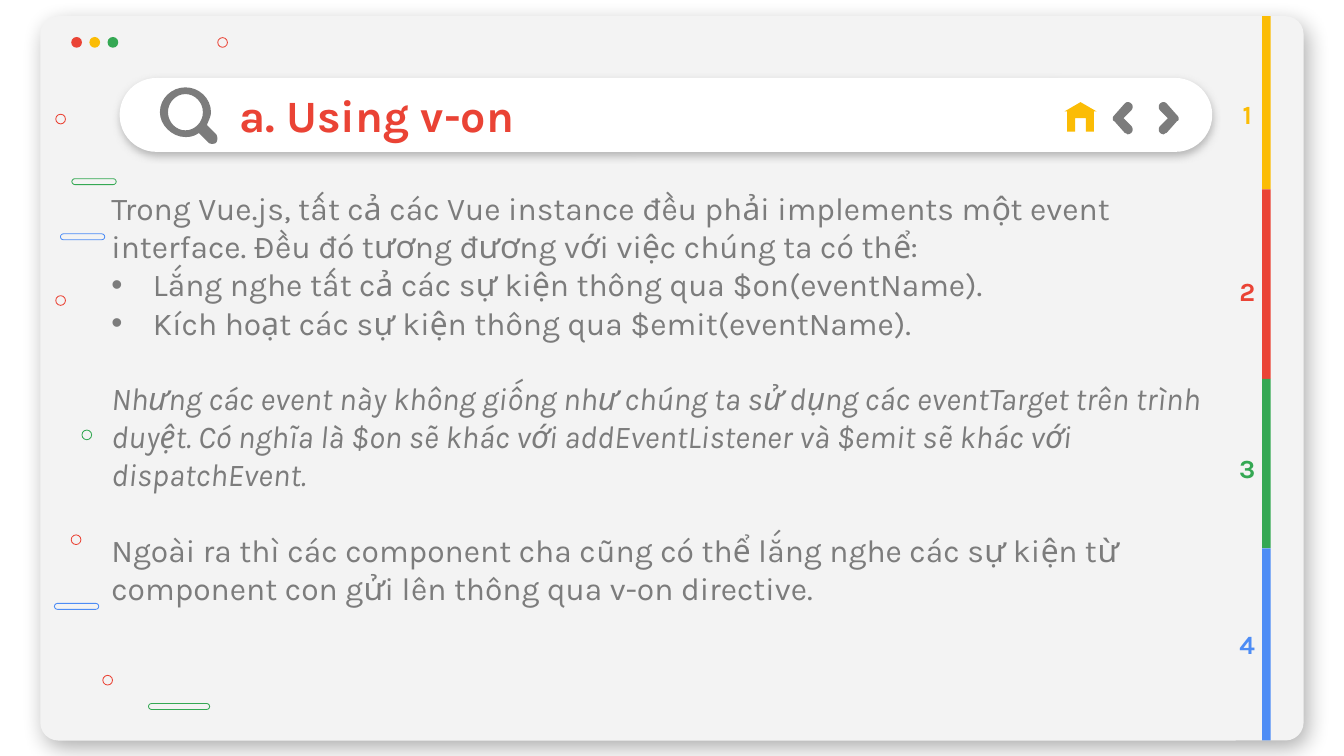
from dataclasses import dataclass

from lxml import etree
from pptx import Presentation
from pptx.dml.color import RGBColor
from pptx.enum.shapes import MSO_SHAPE
from pptx.enum.text import MSO_ANCHOR, PP_ALIGN
from pptx.oxml.ns import qn
from pptx.util import Inches, Pt

OVAL = MSO_SHAPE.OVAL
RECTANGLE = MSO_SHAPE.RECTANGLE
ROUNDED = MSO_SHAPE.ROUNDED_RECTANGLE
MIDDLE = MSO_ANCHOR.MIDDLE
LEFT, CENTER = PP_ALIGN.LEFT, PP_ALIGN.CENTER

# The page is a grid of square cells: 100 columns by 56.25 rows.
CELL = Inches(0.1)
COLUMNS, ROWS = 100, 56.25


@dataclass(frozen=True)
class Theme:
    font: str = "Karla"
    panel: str = "F3F3F3"
    white: str = "FFFFFF"
    black: str = "000000"
    gray: str = "7C7C7C"
    red: str = "EA4335"
    yellow: str = "FBBC05"
    green: str = "34A853"
    blue: str = "4D8CF5"
    title_size: int = 24
    body_size: int = 17
    label_size: int = 14
    paragraph_gap: int = 20
    outline: float = 0.44


def cells(*values):
    return [round(value * CELL) for value in values]


def flatten(contour, steps=8):
    """Turn points (x, y) and cubic curves (x1, y1, x2, y2, x, y) into points."""
    points = []
    for part in contour:
        if len(part) == 2:
            points.append(part)
            continue
        knots = [points[-1], part[:2], part[2:4], part[4:]]
        for step in range(1, steps + 1):
            t = step / steps
            weights = ((1 - t) ** 3, 3 * t * (1 - t) ** 2, 3 * t * t * (1 - t), t ** 3)
            points.append(tuple(sum(w * knot[axis] for w, knot in zip(weights, knots))
                                for axis in (0, 1)))
    return points


class SlideBuilder:
    def __init__(self, slide, theme):
        self.slide = slide
        self.theme = theme

    def paint(self, shape, fill=None, line=None):
        shape.shadow.inherit = False
        if fill:
            shape.fill.solid()
            shape.fill.fore_color.rgb = RGBColor.from_string(fill)
        else:
            shape.fill.background()
        if line:
            shape.line.color.rgb = RGBColor.from_string(line)
            shape.line.width = Pt(self.theme.outline)
        else:
            shape.line.fill.background()

    def shape(self, kind, box, fill=None, line=None, corner=None):
        shape = self.slide.shapes.add_shape(kind, *cells(*box))
        if corner is not None:
            shape.adjustments[0] = corner
        self.paint(shape, fill, line)
        return shape

    def cast_shadow(self, shape, color, opacity, blur, distance, angle):
        effects = shape._element.spPr.find(qn("a:effectLst"))
        shadow = etree.SubElement(
            effects, qn("a:outerShdw"), blurRad=str(Pt(blur)), dist=str(Pt(distance)),
            dir=str(angle * 60000), algn="bl", rotWithShape="0")
        tint = etree.SubElement(shadow, qn("a:srgbClr"), val=color)
        etree.SubElement(tint, qn("a:alpha"), val=str(opacity * 1000))

    def outline(self, contours, fill):
        """Draw one filled shape from closed contours given in cells."""
        builder = None
        for contour in contours:
            start, *rest = [cells(*point) for point in flatten(contour)]
            if builder is None:
                builder = self.slide.shapes.build_freeform(*start, scale=1.0)
            else:
                builder.move_to(*start)
            builder.add_line_segments(rest, close=True)
        self.paint(builder.convert_to_shape(), fill)

    def text(self, box, lines, size, color, bold=False, align=LEFT):
        """Write lines of (text, options); options are bullet, italic and gap."""
        frame = self.slide.shapes.add_textbox(*cells(*box)).text_frame
        frame.word_wrap = True
        frame.vertical_anchor = MIDDLE
        frame.margin_left = frame.margin_right = CELL
        frame.margin_top = frame.margin_bottom = CELL
        frame.text = "\n".join(line for line, _ in lines)
        for para, (_, options) in zip(frame.paragraphs, lines):
            para.alignment = align
            if "gap" in options:
                para.space_before = Pt(options["gap"])
            if options.get("bullet"):
                self.add_bullet(para, color)
            for span in para.runs:
                span.font.name = self.theme.font
                span.font.size = Pt(size)
                span.font.bold = bold
                span.font.italic = options.get("italic", False)
                span.font.color.rgb = RGBColor.from_string(color)

    def add_bullet(self, para, color):
        properties = para._p.get_or_add_pPr()
        indent = Inches(0.31)
        properties.set("marL", str(indent))
        properties.set("indent", str(-indent))
        tint = etree.SubElement(properties, qn("a:buClr"))
        etree.SubElement(tint, qn("a:srgbClr"), val=color)
        etree.SubElement(properties, qn("a:buFont"), typeface="Arial")
        etree.SubElement(properties, qn("a:buChar"), char="•")


def draw_window(page, theme):
    panel = page.shape(ROUNDED, (3, 1.2, 94, 53.9), theme.panel, corner=0.025)
    page.cast_shadow(panel, theme.black, 32, 12.4, 5.2, 57)
    bar = page.shape(ROUNDED, (8.9, 5.8, 81.3, 5.5), theme.white, corner=0.5)
    page.cast_shadow(bar, theme.gray, 50, 4.5, 1.5, 90)
    for index, color in enumerate((theme.red, theme.yellow, theme.green)):
        page.shape(OVAL, (5.3 + 1.35 * index, 2.75, 0.8, 0.8), color)


def draw_decorations(page, theme):
    circles = [(5.3, 39.8, theme.red), (4.15, 8.5, theme.red), (7.65, 50.25, theme.red),
               (16.2, 2.8, theme.red), (6.1, 32, theme.green), (4.15, 22, theme.red)]
    for left, top, color in circles:
        page.shape(OVAL, (left, top, 0.72, 0.72), line=color)
    pills = [(11.05, 52.35, 4.55, theme.green), (4.5, 17.4, 3.3, theme.blue),
             (4.05, 44.9, 3.3, theme.blue), (5.35, 13.3, 3.3, theme.green)]
    for left, top, width, color in pills:
        page.shape(ROUNDED, (left, top, width, 0.44), line=color, corner=0.5)


def draw_icons(page, theme):
    lens = [(13.8, 7), (14.5, 7, 15.1, 7.6, 15.1, 8.35), (15.1, 9.1, 14.5, 9.7, 13.8, 9.7),
            (13.1, 9.7, 12.5, 9.1, 12.5, 8.35), (12.5, 7.6, 13.1, 7, 13.8, 7)]
    glass = [(13.8, 6.5), (12.8, 6.5, 11.9, 7.3, 11.9, 8.35),
             (11.9, 9.3, 12.8, 10.2, 13.8, 10.2), (14.2, 10.2, 14.5, 10.1, 14.8, 9.9),
             (15.5, 10.6), (15.6, 10.7, 15.7, 10.7, 15.8, 10.7),
             (15.9, 10.7, 16, 10.7, 16.1, 10.6), (16.2, 10.4, 16.2, 10.2, 16.1, 10),
             (15.4, 9.3), (15.5, 9, 15.7, 8.7, 15.7, 8.35), (15.7, 7.3, 14.8, 6.5, 13.8, 6.5)]
    page.outline([lens, glass], theme.gray)

    house = [(80.4, 7.6), (79.2, 8.3), (79.4, 8.3), (79.4, 9.8), (80, 9.8), (80, 8.8),
             (80.8, 8.8), (80.8, 9.8), (81.4, 9.8), (81.4, 8.3), (81.6, 8.3)]
    page.outline([house], theme.yellow)

    forward = [(86.6, 7.6), (86.3, 7.6, 86.1, 7.9, 86.3, 8.2), (86.9, 8.8), (86.3, 9.4),
               (86.1, 9.7, 86.3, 10, 86.6, 10), (86.6, 10, 86.7, 9.9, 86.8, 9.9), (87.6, 9),
               (87.7, 9, 87.7, 8.9, 87.7, 8.8), (87.7, 8.7, 87.6, 8.6, 87.6, 8.6),
               (86.8, 7.7), (86.7, 7.6, 86.6, 7.6, 86.6, 7.6)]
    mirror_sum = 82.8 + 87.7
    back = [tuple(mirror_sum - value if index % 2 == 0 else value
                  for index, value in enumerate(part)) for part in forward]
    for chevron in (back, forward):
        page.outline([chevron], theme.gray)


def draw_section_rail(page, theme):
    top = 1.2
    sections = [(theme.yellow, 12.9), (theme.red, 14.1), (theme.green, 12.6), (theme.blue, 14.3)]
    for index, (color, height) in enumerate(sections):
        page.shape(RECTANGLE, (93.9, top, 0.64, height), color)
        page.text((90.4, 7.2 + 13.15 * index, 4.8, 2.6), [(str(index + 1), {})],
                  theme.label_size, color, bold=True, align=CENTER)
        top += height


def main():
    theme = Theme()
    deck = Presentation()
    deck.slide_width, deck.slide_height = cells(COLUMNS, ROWS)
    page = SlideBuilder(deck.slides.add_slide(deck.slide_layouts[6]), theme)
    draw_window(page, theme)
    draw_decorations(page, theme)
    draw_icons(page, theme)
    draw_section_rail(page, theme)
    page.text((16.8, 5.9, 70.9, 5.2), [("a. Using v-on", {})],
              theme.title_size, theme.red, bold=True)
    page.text((7.3, 11.9, 84.1, 35.4), [
        ("Trong Vue.js, tất cả các Vue instance đều phải implements một event interface. "
         "Đều đó tương đương với việc chúng ta có thể:", {}),
        ("Lắng nghe tất cả các sự kiện thông qua $on(eventName).", {"bullet": True}),
        ("Kích hoạt các sự kiện thông qua $emit(eventName).", {"bullet": True}),
        ("Nhưng các event này không giống như chúng ta sử dụng các eventTarget trên trình "
         "duyệt. Có nghĩa là $on sẽ khác với addEventListener và $emit sẽ khác với "
         "dispatchEvent.", {"italic": True, "gap": theme.paragraph_gap}),
        ("Ngoài ra thì các component cha cũng có thể lắng nghe các sự kiện từ component con "
         "gửi lên thông qua v-on directive.", {"gap": theme.paragraph_gap}),
    ], theme.body_size, theme.gray)
    deck.save("out.pptx")


if __name__ == "__main__":
    main()
